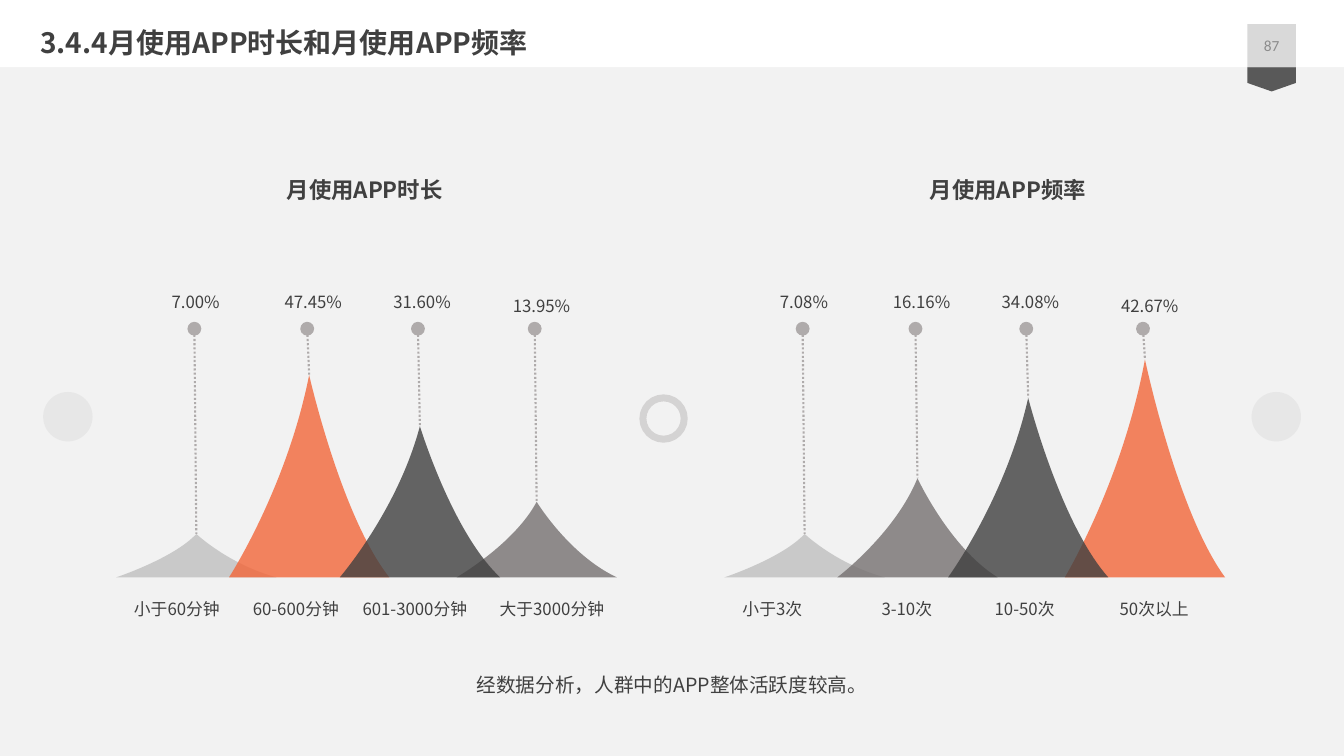
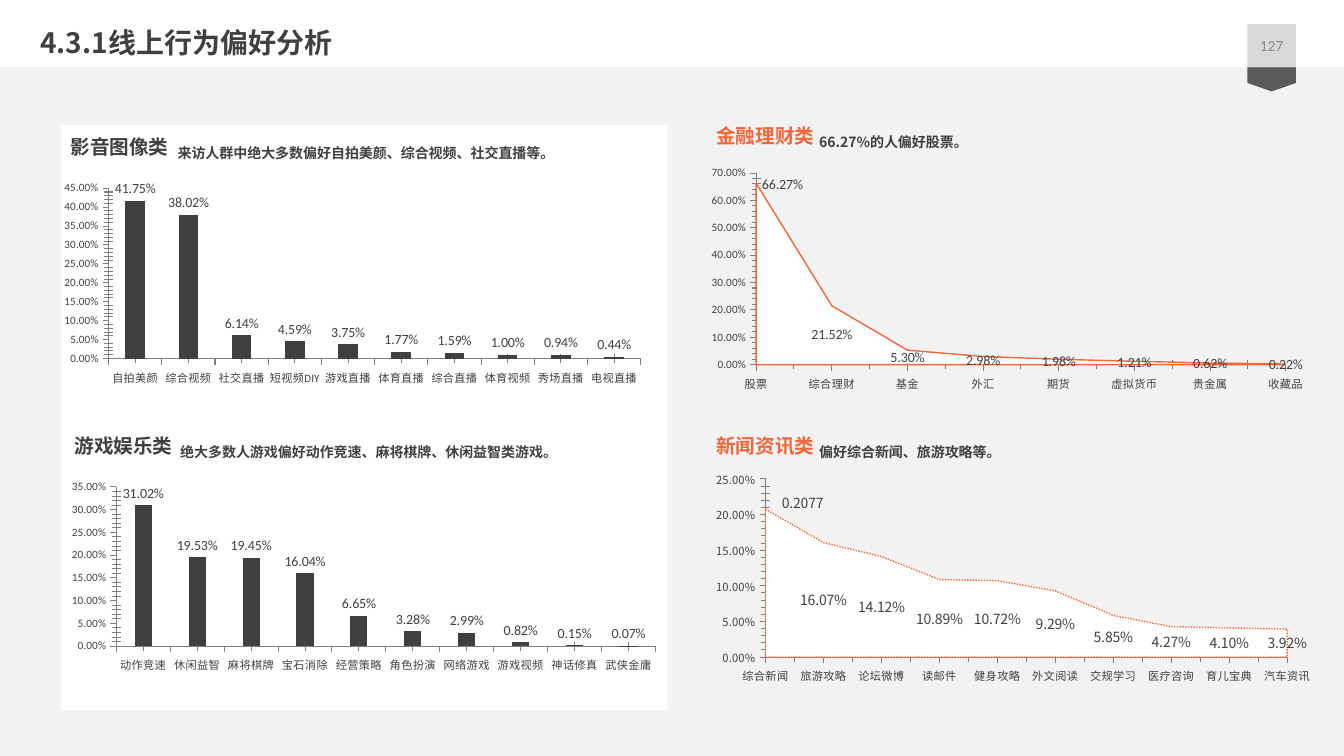
import lxml.etree
import pptx
import pptx.chart.data
import pptx.dml.color
import pptx.enum.chart
import pptx.enum.dml
import pptx.enum.shapes
import pptx.enum.text
import pptx.oxml.ns
import pptx.util

Pt = pptx.util.Pt
qn = pptx.oxml.ns.qn
Shape = pptx.enum.shapes.MSO_SHAPE
Align = pptx.enum.text.PP_ALIGN
Anchor = pptx.enum.text.MSO_ANCHOR
ChartType = pptx.enum.chart.XL_CHART_TYPE
Tick = pptx.enum.chart.XL_TICK_MARK

SANS, LATIN = "Noto Sans CJK SC", "Calibri"
DARK, ORANGE, WHITE, PAPER = "404040", "F36639", "FFFFFF", "F2F2F2"
LIGHT, TAUPE, DOT, AXIS = "BFBFBF", "767171", "AFABAB", "7F7F7F"
INSETS = (7.2, 3.6, 7.2, 3.6)
NO_INSETS = (0, 0, 0, 0)
NOTE_INSETS = (5, 2.9, 5, 2.9)
BADGE = (891, 17.3, 34.6, 30.7)
PEAK_WIDTH = 114.5
APEX = 0.5
PEAK_LEFTS = (0, 80.6, 159.7, 243.1)
VALUE_CENTERS = (56.8, 140.8, 218.5, 303.8)
PEAK_ORDER = (0, 1, 3, 2)
CHART_2012 = "http://schemas.microsoft.com/office/drawing/2012/chart"
LABEL_EXTENSION = "{CE6537A1-D6FC-4f65-9D91-7224C49458BB}"


def color(value):
    return pptx.dml.color.RGBColor.from_string(value)


def add_child(parent, tag, **attributes):
    return lxml.etree.SubElement(parent, qn(tag), **attributes)


def fade(shape, percent):
    for tint in shape.element.spPr.iter(qn("a:srgbClr")):
        add_child(tint, "a:alpha", val=str(percent * 1000))


def paint(shape, fill=None, line=None, width=1, opacity=100):
    shape.shadow.inherit = False
    if fill:
        shape.fill.solid()
        shape.fill.fore_color.rgb = color(fill)
    else:
        shape.fill.background()
    if line:
        shape.line.color.rgb = color(line)
        shape.line.width = Pt(width)
    else:
        shape.line.fill.background()
    if opacity < 100:
        fade(shape, opacity)
    return shape


def add_block(page, kind, box, fill=None, **style):
    return paint(page.shapes.add_shape(kind, *map(Pt, box)), fill, **style)


def write(box, text, size, tint=DARK, font=SANS, bold=False, align=Align.LEFT,
          anchor=Anchor.TOP, insets=INSETS, spacing=None):
    frame = box.text_frame
    frame.word_wrap = True
    frame.auto_size = pptx.enum.text.MSO_AUTO_SIZE.NONE
    frame.vertical_anchor = anchor
    (frame.margin_left, frame.margin_top,
     frame.margin_right, frame.margin_bottom) = map(Pt, insets)
    para = frame.paragraphs[0]
    para.alignment = align
    if spacing:
        para.line_spacing = spacing
    span = para.add_run()
    span.text = text
    span.font.name = font
    span.font.size = Pt(size)
    span.font.bold = bold
    span.font.color.rgb = color(tint)
    add_child(span.font._element, "a:ea", typeface=SANS)


def add_text(page, box, text, size, **style):
    write(page.shapes.add_textbox(*map(Pt, box)), text, size, **style)


def add_page(deck, title, number):
    page = deck.slides.add_slide(deck.slide_layouts[5])
    add_block(page, Shape.RECTANGLE, (0, 0, 960, 540), PAPER)
    ribbon = add_block(page, Shape.PENTAGON, (899.7, 39.4, 17.3, 34.6), "595959")
    ribbon.rotation = 90
    ribbon.adjustments[0] = 0.35
    add_block(page, Shape.RECTANGLE, (0, 0, 960, 48), WHITE)
    add_block(page, Shape.RECTANGLE, BADGE, "D9D9D9")
    add_text(page, BADGE, number, 11, tint="8C8C8C", font=LATIN, align=Align.CENTER,
             anchor=Anchor.MIDDLE)
    heading = page.shapes.title
    heading.left, heading.top, heading.width, heading.height = map(Pt, (21.6, 14.7, 816, 31.7))
    write(heading, title, 20, bold=True)
    heading.element.getparent().append(heading.element)
    return page


def bend(segment, controls):
    segment.tag = qn("a:cubicBezTo")
    for index, (x, y) in enumerate(controls):
        point = lxml.etree.Element(qn("a:pt"), x=str(Pt(x)), y=str(Pt(y)))
        segment.insert(index, point)


def add_peak(page, left, base, height, fill):
    right, middle = left + PEAK_WIDTH, left + APEX * PEAK_WIDTH
    builder = page.shapes.build_freeform(Pt(left), Pt(base), scale=1.0)
    corners = ((right, base), (middle, base - height), (left, base))
    builder.add_line_segments([(Pt(x), Pt(y)) for x, y in corners], close=True)
    peak = builder.convert_to_shape()
    falling, rising = list(peak.element.iter(qn("a:lnTo")))[1:3]
    bend(falling, ((0.7 * PEAK_WIDTH, 0.7 * height), (APEX * PEAK_WIDTH, 0)))
    bend(rising, ((0.36 * PEAK_WIDTH, 0.56 * height), (0, height)))
    paint(peak, fill, opacity=80)


def add_pin(page, x, top, bottom):
    pin = page.shapes.add_connector(pptx.enum.shapes.MSO_CONNECTOR.STRAIGHT,
                                    Pt(x - 1.4), Pt(top), Pt(x), Pt(bottom))
    pin.line.color.rgb = color(DOT)
    pin.line.width = Pt(1.5)
    pin.line.dash_style = pptx.enum.dml.MSO_LINE.ROUND_DOT
    add_child(pin.line._ln, "a:headEnd", type="oval", w="lg", len="lg")
    add_child(pin.element.spPr, "a:effectLst")


def add_peaks(page, left, top, title, title_box, peaks):
    base = top + 290
    title_left, title_width = title_box
    add_text(page, (left + title_left, top, title_width, 26.6), title, 16,
             bold=True, align=Align.CENTER)
    for index in PEAK_ORDER:
        value, label, height, fill, label_left, label_width = peaks[index]
        peak_left = left + PEAK_LEFTS[index]
        add_peak(page, peak_left, base, height, fill)
        value_width, value_height = (60, 22.3) if index == 3 else (53, 16.6)
        value_left = left + VALUE_CENTERS[index] - value_width / 2
        add_text(page, (value_left, top + 85, value_width, value_height), value,
                 12, align=Align.CENTER, anchor=Anchor.MIDDLE, insets=NO_INSETS)
        add_pin(page, peak_left + APEX * PEAK_WIDTH, top + 112.4, base - height)
        add_text(page, (left + label_left, top + 301.8, label_width, 21.6), label, 12)


def build_usage(deck):
    page = add_page(deck, "3.4.4月使用APP时长和月使用APP频率", "87")
    for left in (30.8, 894):
        add_block(page, Shape.OVAL, (left, 280, 35.3, 35.3), "E6E6E6", opacity=85)
    add_block(page, Shape.OVAL, (459.2, 284.2, 29.5, 29.5), line="D0CECE", width=5, opacity=85)
    add_peaks(page, 83, 122.4, "月使用APP时长", (108.4, 138.2), (
        ("7.00%", "小于60分钟", 31, LIGHT, 5.6, 79.2),
        ("47.45%", "60-600分钟", 144.5, ORANGE, 90.5, 84.2),
        ("31.60%", "601-3000分钟", 108, DARK, 168.9, 105),
        ("13.95%", "大于3000分钟", 54, TAUPE, 266.8, 90.7)))
    add_peaks(page, 517.5, 122.4, "月使用APP频率", (130.4, 144), (
        ("7.08%", "小于3次", 31, LIGHT, 5.8, 79.2),
        ("16.16%", "3-10次", 70.8, TAUPE, 105.1, 84.2),
        ("34.08%", "10-50次", 128.2, DARK, 185.9, 71.3),
        ("42.67%", "50次以上", 155.7, ORANGE, 275.2, 67)))
    add_text(page, (0, 468.7, 960, 32.4), "经数据分析，人群中的APP整体活跃度较高。", 14,
             align=Align.CENTER, spacing=Pt(25))


def add_layout(parent, position, **values):
    for old in parent.findall(qn("c:layout")):
        parent.remove(old)
    layout = lxml.etree.Element(qn("c:layout"))
    parent.insert(position, layout)
    manual = add_child(layout, "c:manualLayout")
    for name, value in values.items():
        add_child(manual, "c:" + name, val=str(value))


def hide_leader_lines(labels):
    for switch in labels.findall(qn("c:showLeaderLines")):
        switch.set("val", "0")
    extension = add_child(add_child(labels, "c:extLst"), "c:ext", uri=LABEL_EXTENSION)
    lxml.etree.SubElement(extension, "{%s}showLeaderLines" % CHART_2012,
                          nsmap={"c15": CHART_2012}, val="0")


def shift_first_label(chart, dx, dy, number_format):
    labels = chart.element.find(".//" + qn("c:dLbls"))
    label = lxml.etree.Element(qn("c:dLbl"))
    labels.insert(0, label)
    add_child(label, "c:idx", val="0")
    add_layout(label, 1, x=dx, y=dy)
    add_child(label, "c:numFmt", formatCode=number_format, sourceLinked="0")
    for part in ("LegendKey", "Val", "CatName", "SerName", "Percent", "BubbleSize"):
        add_child(label, "c:show" + part, val=str(int(part == "Val")))
    hide_leader_lines(labels)


def set_font(font, size, name):
    font.size = Pt(size)
    font.name = name
    font.bold = False
    font.color.rgb = color(DARK)


def add_share_chart(page, kind, box, shares, top_value, unit, plot, font=LATIN):
    data = pptx.chart.data.CategoryChartData(number_format="0.00%")
    data.categories = list(shares)
    data.add_series("Series 1", list(shares.values()))
    chart = page.shapes.add_chart(kind, *map(Pt, box), data).chart
    chart.has_legend = False
    chart.has_title = False
    set_font(chart.font, 10, font)
    for axis in (chart.category_axis, chart.value_axis):
        axis.has_major_gridlines = False
        axis.major_tick_mark = Tick.OUTSIDE
        axis.minor_tick_mark = Tick.CROSS
        axis.format.line.color.rgb = color(AXIS)
        axis.format.line.width = Pt(0.75)
        set_font(axis.tick_labels.font, 8, font)
    scale = chart.value_axis
    scale.minimum_scale, scale.maximum_scale = 0, top_value
    scale.major_unit, scale.minor_unit = unit, unit / 5
    scale.tick_labels.number_format = "0.00%"
    scale.tick_labels.number_format_is_linked = False
    chart.plots[0].vary_by_categories = False
    labels = chart.plots[0].series[0].data_labels
    labels.show_value = True
    labels.number_format = "0.00%"
    labels.number_format_is_linked = False
    set_font(labels.font, 10, font)
    x, y, w, h = plot
    add_layout(chart.element.find(".//" + qn("c:plotArea")), 0, layoutTarget="inner",
               xMode="edge", yMode="edge", x=x, y=y, w=w, h=h)
    return chart


def add_columns(page, box, shares, top_value, plot, gap, overlap=0):
    chart = add_share_chart(page, ChartType.COLUMN_CLUSTERED, box, shares, top_value, 0.05, plot)
    columns = chart.plots[0]
    columns.gap_width = gap
    columns.overlap = overlap
    columns.series[0].format.fill.solid()
    columns.series[0].format.fill.fore_color.rgb = color(DARK)
    columns.series[0].data_labels.position = pptx.enum.chart.XL_LABEL_POSITION.OUTSIDE_END


def add_area(page, box, shares, top_value, unit, plot, shift, font=LATIN, dash=None):
    chart = add_share_chart(page, ChartType.AREA, box, shares, top_value, unit, plot, font)
    style = chart.plots[0].series[0].format
    style.fill.solid()
    style.fill.fore_color.rgb = color(WHITE)
    style.line.color.rgb = color(ORANGE)
    style.line.width = Pt(1)
    if dash:
        style.line.dash_style = dash
    for crossing in chart.element.iter(qn("c:crossBetween")):
        crossing.set("val", "midCat")
    shift_first_label(chart, *shift)


def add_heading(page, left, top, title, tint, gap, width, note):
    add_text(page, (left, top, 157, 24.5), title, 14, tint=tint, font=LATIN, bold=True)
    add_text(page, (left + gap, top + 1.2, width, 21.6), note, 10, bold=True,
             insets=NOTE_INSETS, spacing=1.5)


def build_preferences(deck):
    page = add_page(deck, "4.3.1线上行为偏好分析", "127")
    add_block(page, Shape.RECTANGLE, (43.5, 89.3, 433.4, 418), WHITE)
    add_columns(page, (46, 98.6, 422.6, 185), {
        "自拍美颜": 0.4175, "综合视频": 0.3802, "社交直播": 0.0614, "短视频DIY": 0.0459,
        "游戏直播": 0.0375, "体育直播": 0.0177, "综合直播": 0.0159, "体育视频": 0.01,
        "秀场直播": 0.0094, "电视直播": 0.0044}, 0.45, (0.067, 0.194, 0.907, 0.658), 171)
    add_columns(page, (48.2, 298.8, 420.5, 188), {
        "动作竞速": 0.3102, "休闲益智": 0.1953, "麻将棋牌": 0.1945, "宝石消除": 0.1604,
        "经营策略": 0.0665, "角色扮演": 0.0328, "网络游戏": 0.0299, "游戏视频": 0.0082,
        "神话修真": 0.0015, "武侠金庸": 0.0007}, 0.35, (0.083, 0.261, 0.916, 0.605), 214, -27)
    add_area(page, (508.3, 113, 436.3, 177.8), {
        "股票": 0.6627, "综合理财": 0.2152, "基金": 0.053, "外汇": 0.0298, "期货": 0.0198,
        "虚拟货币": 0.0121, "贵金属": 0.0062, "收藏品": 0.0022},
        0.7, 0.1, (0.072, 0.06, 0.868, 0.77), (0.043, -0.36, "0.00%"))
    add_area(page, (502.6, 332.6, 442, 159.1), {
        "综合新闻": 0.2077, "旅游攻略": 0.1607, "论坛微博": 0.1412, "读邮件": 0.1089,
        "健身攻略": 0.1072, "外文阅读": 0.0929, "交规学习": 0.0585, "医疗咨询": 0.0427,
        "育儿宝典": 0.041, "汽车资讯": 0.0392},
        0.25, 0.05, (0.1, 0.06, 0.843, 0.8), (0.06, -0.36, "General"),
        SANS, pptx.enum.dml.MSO_LINE.ROUND_DOT)
    for heading in (
            (43.2, 92.9, "影音图像类", DARK, 78.7, 363,
             "来访人群中绝大多数偏好自拍美颜、综合视频、社交直播等。"),
            (46.1, 306.4, "游戏娱乐类", DARK, 77.7, 374,
             "绝大多数人游戏偏好动作竞速、麻将棋牌、休闲益智类游戏。"),
            (504.5, 85, "金融理财类", ORANGE, 75.7, 272, "66.27%的人偏好股票。"),
            (504.5, 306.4, "新闻资讯类", ORANGE, 75.7, 297, "偏好综合新闻、旅游攻略等。")):
        add_heading(page, *heading)


def main():
    deck = pptx.Presentation()
    deck.slide_width, deck.slide_height = Pt(960), Pt(540)
    build_usage(deck)
    build_preferences(deck)
    deck.save("out.pptx")


if __name__ == "__main__":
    main()
